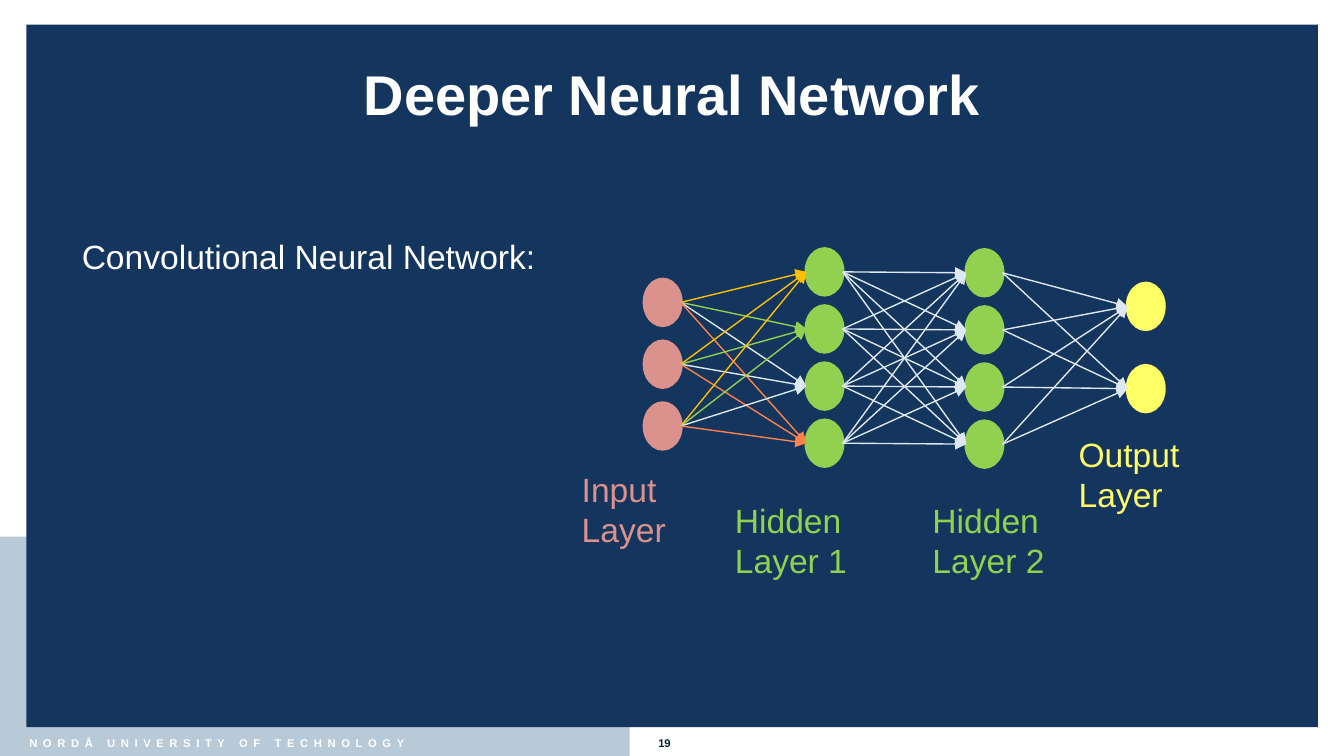
import dataclasses
import itertools

import lxml.etree
import pptx
import pptx.dml.color
import pptx.enum.shapes
import pptx.enum.text
import pptx.oxml.ns
import pptx.util

CELL = 0.1  # inches; the slide is 100 columns wide, in 16:9 format
COLS = 100
ROWS = COLS * 9 / 16
NODE_W, NODE_H = 2.7, 3.4


@dataclasses.dataclass(frozen=True)
class Theme:
    font: str = "Arial"
    navy: str = "14355E"
    mist: str = "B8C9D7"
    ink: str = "032040"
    white: str = "FFFFFF"
    pink: str = "DC928C"
    green: str = "92D050"
    yellow: str = "FFFF66"
    pale: str = "DDE9F2"
    amber: str = "FFC000"
    orange: str = "FF8248"
    head: float = 30
    body: float = 18
    foot: float = 6
    edge: float = 2
    wire: float = 0.75


THEME = Theme()


def grid(*cells):
    return [pptx.util.Inches(cell * CELL) for cell in cells]


def color(code):
    return pptx.dml.color.RGBColor.from_string(code)


def add_shape(slide, kind, box, fill, edge=None):
    shape = slide.shapes.add_shape(kind, *grid(*box))
    shape.shadow.inherit = False
    shape.fill.solid()
    shape.fill.fore_color.rgb = color(fill)
    if edge:
        shape.line.color.rgb = color(fill)
        shape.line.width = pptx.util.Pt(edge)
    else:
        shape.line.fill.background()


def add_text(slide, text, box, *, size=THEME.body, ink=THEME.white,
             bold=False, center=False, gap=0):
    frame = slide.shapes.add_textbox(*grid(*box)).text_frame
    frame.word_wrap = True
    para = frame.paragraphs[0]
    if center:
        para.alignment = pptx.enum.text.PP_ALIGN.CENTER
        frame.vertical_anchor = pptx.enum.text.MSO_ANCHOR.MIDDLE
    run = para.add_run()
    run.text = text
    run.font.name = THEME.font
    run.font.size = pptx.util.Pt(size)
    run.font.bold = bold
    run.font.color.rgb = color(ink)
    if gap:  # letter spacing in points
        run.font._element.set("spc", str(gap * 100))


def add_arrow(slide, start, end, ink):
    kind = pptx.enum.shapes.MSO_CONNECTOR.STRAIGHT
    arrow = slide.shapes.add_connector(kind, *grid(*start, *end))
    arrow.line.color.rgb = color(ink)
    arrow.line.width = pptx.util.Pt(THEME.wire)
    qn = pptx.oxml.ns.qn
    lxml.etree.SubElement(arrow.line._get_or_add_ln(), qn("a:tailEnd"),
                          type="triangle")
    lxml.etree.SubElement(arrow._element.spPr, qn("a:effectLst"))


def add_layer(slide, left, top, step, count, fill):
    """Draw a column of nodes and return its left edge and node tops."""
    tops = [top + step * row for row in range(count)]
    for y in tops:
        add_shape(slide, pptx.enum.shapes.MSO_SHAPE.OVAL,
                  (left, y, NODE_W, NODE_H), fill, THEME.edge)
    return left, tops


def link(slide, source, target, inks):
    """Join every node of one layer to every node of the next."""
    (left, tops), (right, ends) = source, target
    for y, (end, ink) in itertools.product(tops, zip(ends, inks)):
        add_arrow(slide, (left + NODE_W, y + NODE_H / 2),
                  (right, end + NODE_H / 2), ink)


def main():
    deck = pptx.Presentation()
    deck.slide_width, deck.slide_height = grid(COLS, ROWS)
    slide = deck.slides.add_slide(deck.slide_layouts[6])

    # Backdrop
    rect = pptx.enum.shapes.MSO_SHAPE.RECTANGLE
    add_shape(slide, rect, (0, 39.93, 46.86, ROWS - 39.93), THEME.mist)
    add_shape(slide, rect, (1.96, 1.84, 96.1, 52.27), THEME.navy)

    # Footer
    add_text(slide, "NORDÅ UNIVERSITY OF TECHNOLOGY", (1.2, 54.3, 45, 1.9),
             size=THEME.foot, bold=True, gap=3)
    add_text(slide, "19", (48, 54.3, 5, 1.9), size=THEME.foot,
             ink=THEME.ink, bold=True)

    # Title and lead
    add_text(slide, "Deeper Neural Network", (3.53, 2, 92.9, 9.9),
             size=THEME.head, bold=True, center=True)
    add_text(slide, "Convolutional Neural Network:", (5.1, 17.05, 37.2, 7.1))

    # Layers: left, top, step, count, colour
    layers = [add_layer(slide, *row) for row in (
        (47.96, 20.8, 4.6, 3, THEME.pink),
        (60, 18.53, 4.25, 4, THEME.green),
        (71.9, 18.6, 4.25, 4, THEME.green),
        (83.9, 21.1, 6.12, 2, THEME.yellow),
    )]

    # Arrows, coloured by the node they reach
    plain = [THEME.pale] * 4
    mixed = [THEME.amber, THEME.green, THEME.pale, THEME.orange]
    for source, target, inks in zip(layers, layers[1:],
                                    (mixed, plain, plain)):
        link(slide, source, target, inks)

    # Layer labels
    for text, left, top, width, ink in (
        ("Input Layer", 42.3, 34.4, 14.1, THEME.pink),
        ("Hidden Layer 1", 53.7, 36.7, 15.4, THEME.green),
        ("Hidden Layer 2", 68.4, 36.7, 15.4, THEME.green),
        ("Output Layer", 79.27, 31.8, 14.1, THEME.yellow),
    ):
        add_text(slide, text, (left, top, width, 4), ink=ink)

    deck.save("out.pptx")


if __name__ == "__main__":
    main()
